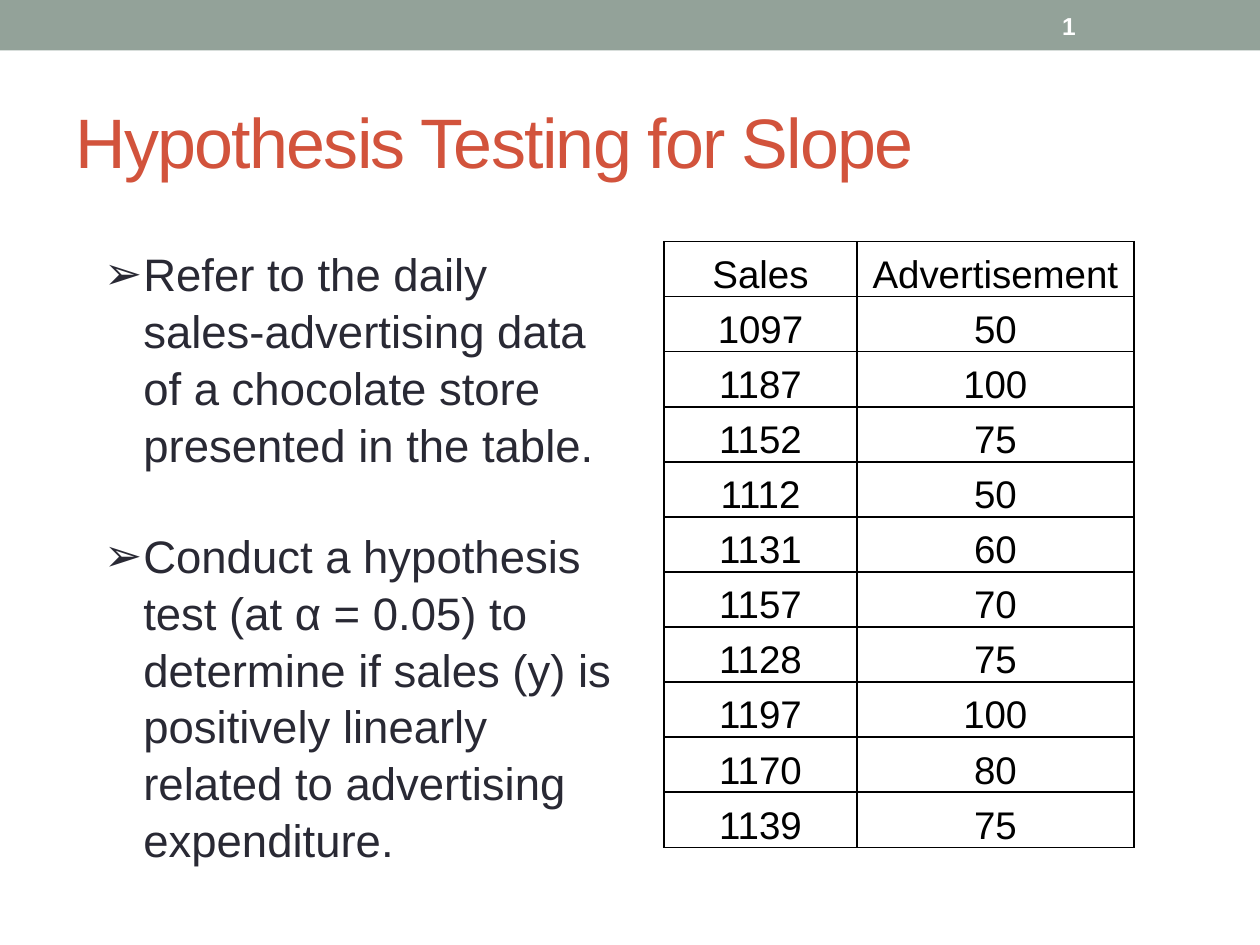
from lxml import etree
from pptx import Presentation
from pptx import util as u
from pptx.dml.color import RGBColor
from pptx.enum import shapes, text
from pptx.oxml import ns

FONT = "Arial"
BULLETS = [
    "Refer to the daily sales-advertising data of a chocolate store presented in the table.",
    "Conduct a hypothesis test (at α = 0.05) to determine if sales (y) is "
    "positively linearly related to advertising expenditure.",
]
SALES = [
    ("Sales", "Advertisement"),
    (1097, 50), (1187, 100), (1152, 75), (1112, 50), (1131, 60),
    (1157, 70), (1128, 75), (1197, 100), (1170, 80), (1139, 75),
]


def colour(value):
    return RGBColor.from_string(value)


def assign(target, values):
    for name, value in values.items():
        setattr(target, name, value)


def write(para, words, size, hue, bold=False):
    """Add one formatted run to a paragraph and return it."""
    span = para.add_run()
    span.text = words
    assign(span.font, {"name": FONT, "size": u.Pt(size), "bold": bold})
    span.font.color.rgb = colour(hue)
    return span


def place(shape, box):
    assign(shape, dict(zip(("left", "top", "width", "height"), map(u.Cm, box))))


def add_header(page, box):
    """Draw the top band with the page number near its right end."""
    left, top, width, height = box
    band = page.shapes.add_shape(shapes.MSO_SHAPE.RECTANGLE, *map(u.Cm, box))
    band.shadow.inherit = False
    band.fill.solid()
    band.fill.fore_color.rgb = colour("93A299")
    band.line.fill.background()

    number = page.shapes.add_textbox(
        u.Cm(left + width - 4.24), u.Cm(top + 0.05), u.Cm(2.97), u.Cm(height - 0.1))
    assign(number.text_frame, {"word_wrap": True,
                               "vertical_anchor": text.MSO_ANCHOR.MIDDLE})
    write(number.text_frame.paragraphs[0], "1", 14, "FFFFFF", bold=True)


def add_title(page, box):
    title = page.shapes.title
    place(title, box)
    title.text_frame.vertical_anchor = text.MSO_ANCHOR.MIDDLE
    para = title.text_frame.paragraphs[0]
    para.alignment = text.PP_ALIGN.LEFT
    span = write(para, "Hypothesis Testing for Slope", 40, "D2533C")
    span.font._element.set("spc", "-100")


def add_bullets(page, box):
    frame = page.shapes.add_textbox(*map(u.Cm, box)).text_frame
    frame.word_wrap = True
    for index, words in enumerate(BULLETS):
        para = frame.paragraphs[0] if index == 0 else frame.add_paragraph()
        assign(para, {"line_spacing": 1.045, "space_before": u.Pt(31.2 if index else 0)})
        write(para, words, 26, "292934")
        layout = para._p.get_or_add_pPr()
        indent = u.Cm(0.79)
        layout.set("marL", str(indent))
        layout.set("indent", str(-indent))
        etree.SubElement(layout, ns.qn("a:buFont"), typeface=FONT)
        etree.SubElement(layout, ns.qn("a:buChar"), char="➢")


def add_borders(cell, hue, points):
    properties = cell._tc.get_or_add_tcPr()
    for side in "LRTB":
        line = etree.SubElement(properties, ns.qn(f"a:ln{side}"), w=str(u.Pt(points)))
        fill = etree.SubElement(line, ns.qn("a:solidFill"))
        etree.SubElement(fill, ns.qn("a:srgbClr"), val=hue)


def add_sales_table(page, box):
    table = page.shapes.add_table(len(SALES), len(SALES[0]), *map(u.Cm, box)).table
    assign(table, {"first_row": False, "horz_banding": False})
    for column, share in zip(table.columns, (0.41, 0.59)):
        column.width = u.Cm(box[2] * share)
    for row, values in enumerate(SALES):
        for column, value in enumerate(values):
            cell = table.cell(row, column)
            add_borders(cell, "000000", 1)
            cell.fill.background()
            assign(cell, {"vertical_anchor": text.MSO_ANCHOR.BOTTOM,
                          "margin_left": u.Cm(0.18), "margin_right": u.Cm(0.18),
                          "margin_top": 0, "margin_bottom": 0})
            para = cell.text_frame.paragraphs[0]
            assign(para, {"alignment": text.PP_ALIGN.CENTER, "line_spacing": 1.15})
            write(para, str(value), 22, "000000")


def main():
    deck = Presentation()
    assign(deck, {"slide_width": u.Cm(25.4), "slide_height": u.Cm(19.05)})
    page = deck.slides.add_slide(deck.slide_layouts[5])
    add_header(page, (0, 0, 25.4, 1.02))
    add_title(page, (1.27, 1.47, 22.86, 2.74))
    add_bullets(page, (1.85, 4.8, 10.92, 13.16))
    add_sales_table(page, (13.39, 4.87, 9.47, 12.22))
    deck.save("out.pptx")


if __name__ == "__main__":
    main()
